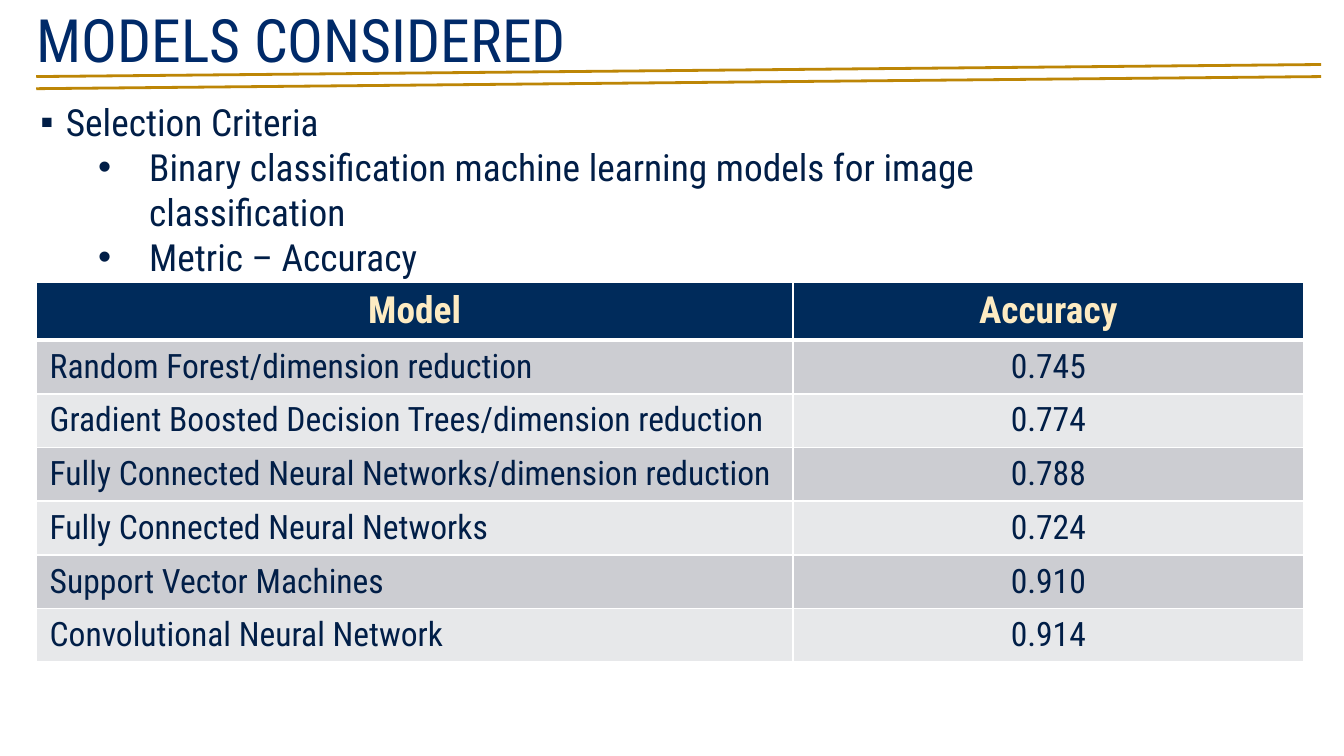
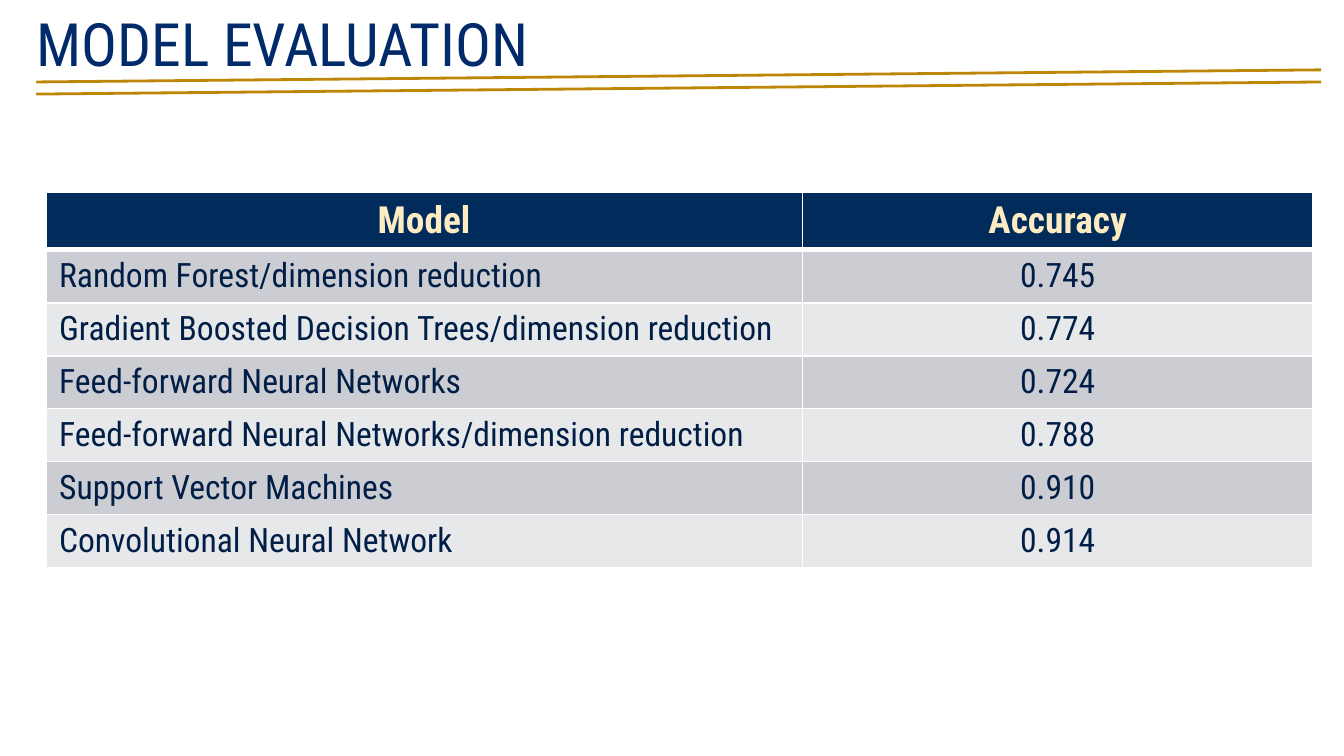
from collections import namedtuple

from lxml.etree import SubElement
from pptx import Presentation
from pptx.dml.color import RGBColor
from pptx.enum.shapes import MSO_CONNECTOR
from pptx.enum.text import MSO_ANCHOR, MSO_AUTO_SIZE, PP_ALIGN
from pptx.oxml.ns import qn
from pptx.util import Inches, Pt

FONT = "Roboto Condensed"
COLORS = {
    "title": "002A69",
    "text": "011E47",
    "rule": "BD8606",
    "header": "002B5B",
    "header_text": "FDEBC2",
    "odd_row": "CCCDD2",
    "even_row": "E7E8EA",
    "border": "FFFFFF",
}
Box = namedtuple("Box", "left top width height")
TITLE_BOX = Box(0.17, 0, 9.76, 0.57)
COLUMN_WIDTHS = (5.63, 3.8)
HEADER_HEIGHT = 0.43


def color(name):
    """Return the named colour of the palette."""
    return RGBColor.from_string(COLORS[name])


def place(shape, box):
    """Move and size a shape to a box given in inches."""
    shape.left, shape.top = Inches(box.left), Inches(box.top)
    shape.width, shape.height = Inches(box.width), Inches(box.height)


def add_span(para, text, size, color_name, bold=False):
    """Append one formatted run to a paragraph."""
    span = para.add_run()
    span.text = text
    span.font.name = FONT
    span.font.size = Pt(size)
    span.font.bold = bold
    span.font.color.rgb = color(color_name)


def set_frame(frame, anchor):
    """Give a placeholder's text frame a fixed size and an anchor."""
    frame.word_wrap = True
    frame.auto_size = MSO_AUTO_SIZE.NONE
    frame.vertical_anchor = anchor


def add_title(page, text, box, anchor):
    """Fill the title placeholder."""
    title = page.shapes.title
    place(title, box)
    set_frame(title.text_frame, anchor)
    para = title.text_frame.paragraphs[0]
    para.alignment = PP_ALIGN.LEFT
    add_span(para, text, 32, "title")


def add_rules(page, box, gap=0.09):
    """Draw two parallel gold lines that rise across the box."""
    for offset in (gap, 0):
        bottom = box.top + box.height + offset
        rule = page.shapes.add_connector(
            MSO_CONNECTOR.STRAIGHT,
            Inches(box.left), Inches(bottom),
            Inches(box.left + box.width), Inches(box.top + offset))
        rule.line.color.rgb = color("rule")
        rule.line.width = Pt(1.5)
        SubElement(rule._element.spPr, qn("a:effectLst"))


def set_bullet(para, char, margin, indent):
    """Give a paragraph a bullet and a hanging indent in inches."""
    props = para._p.get_or_add_pPr()
    props.set("marL", str(Inches(margin)))
    props.set("indent", str(Inches(indent)))
    SubElement(props, qn("a:buFont")).set("typeface", "Arial")
    SubElement(props, qn("a:buChar")).set("char", char)


def add_criteria(page, items, box):
    """Fill the body placeholder with (level, text) items."""
    bullets = (("▪", 0.19, -0.19), ("•", 0.81, -0.38))
    body = page.placeholders[1]
    place(body, box)
    frame = body.text_frame
    set_frame(frame, MSO_ANCHOR.TOP)
    for index, (level, text) in enumerate(items):
        para = frame.add_paragraph() if index else frame.paragraphs[0]
        para.level = level
        para.alignment = PP_ALIGN.LEFT
        para.line_spacing = 1.0
        para.space_before = para.space_after = Pt(0)
        set_bullet(para, *bullets[level])
        add_span(para, text, 20, "text")


def set_borders(cell, top, bottom):
    """Draw white cell borders, with top and bottom widths in points."""
    props = cell._tc.get_or_add_tcPr()
    for side, width in (("L", 1), ("R", 1), ("T", top), ("B", bottom)):
        line = SubElement(props, qn("a:ln" + side))
        line.set("w", str(Pt(width)))
        fill = SubElement(line, qn("a:solidFill"))
        SubElement(fill, qn("a:srgbClr")).set("val", COLORS["border"])


def format_cell(cell, text, row, column):
    """Write and style one cell according to its row and column."""
    is_header = row == 0
    set_borders(cell, 3 if row == 1 else 1, 3 if is_header else 1)
    cell.fill.solid()
    band = "odd_row" if row % 2 else "even_row"
    cell.fill.fore_color.rgb = color("header" if is_header else band)
    cell.vertical_anchor = MSO_ANCHOR.TOP if is_header else MSO_ANCHOR.MIDDLE
    para = cell.text_frame.paragraphs[0]
    centered = is_header or column == 1
    para.alignment = PP_ALIGN.CENTER if centered else PP_ALIGN.LEFT
    if is_header:
        add_span(para, text, 20, "header_text", bold=True)
    else:
        add_span(para, text, 18, "text")


def add_accuracy_table(page, results, box):
    """Add the table of models and accuracies, with equal body rows."""
    rows = [("Model", "Accuracy"), *results]
    frame = page.shapes.add_table(
        len(rows), len(COLUMN_WIDTHS), Inches(box.left), Inches(box.top),
        Inches(box.width), Inches(box.height))
    table = frame.table
    for column, width in zip(table.columns, COLUMN_WIDTHS):
        column.width = Inches(width)
    row_height = (box.height - HEADER_HEIGHT) / len(results)
    for index, values in enumerate(rows):
        table.rows[index].height = Inches(row_height if index else HEADER_HEIGHT)
        for column, text in enumerate(values):
            format_cell(table.cell(index, column), text, index, column)


def build_considered(deck):
    """Build the slide with the selection criteria and the models."""
    page = deck.slides.add_slide(deck.slide_layouts[1])
    add_title(page, "MODELS CONSIDERED", TITLE_BOX, MSO_ANCHOR.MIDDLE)
    add_criteria(page, [
        (0, "Selection Criteria"),
        (1, "Binary classification machine learning models for image "
            "classification"),
        (1, "Metric – Accuracy"),
    ], Box(0.2, 0.69, 8.4, 1.45))
    add_accuracy_table(page, [
        ("Random Forest/dimension reduction", "0.745"),
        ("Gradient Boosted Decision Trees/dimension reduction", "0.774"),
        ("Fully Connected Neural Networks/dimension reduction", "0.788"),
        ("Fully Connected Neural Networks", "0.724"),
        ("Support Vector Machines", "0.910"),
        ("Convolutional Neural Network", "0.914"),
    ], Box(0.27, 2.1, sum(COLUMN_WIDTHS), 2.83))
    add_rules(page, Box(0.27, 0.48, 9.56, 0.09))


def build_evaluation(deck):
    """Build the slide with the evaluation results."""
    page = deck.slides.add_slide(deck.slide_layouts[5])
    add_title(page, "MODEL EVALUATION", TITLE_BOX, MSO_ANCHOR.TOP)
    add_rules(page, Box(0.27, 0.52, 9.56, 0.09))
    add_accuracy_table(page, [
        ("Random Forest/dimension reduction", "0.745"),
        ("Gradient Boosted Decision Trees/dimension reduction", "0.774"),
        ("Feed-forward Neural Networks", "0.724"),
        ("Feed-forward Neural Networks/dimension reduction", "0.788"),
        ("Support Vector Machines", "0.910"),
        ("Convolutional Neural Network", "0.914"),
    ], Box(0.34, 1.43, sum(COLUMN_WIDTHS), 2.78))


deck = Presentation()
deck.slide_width = Inches(10)
deck.slide_height = deck.slide_width * 9 // 16
build_considered(deck)
build_evaluation(deck)
deck.save("out.pptx")
